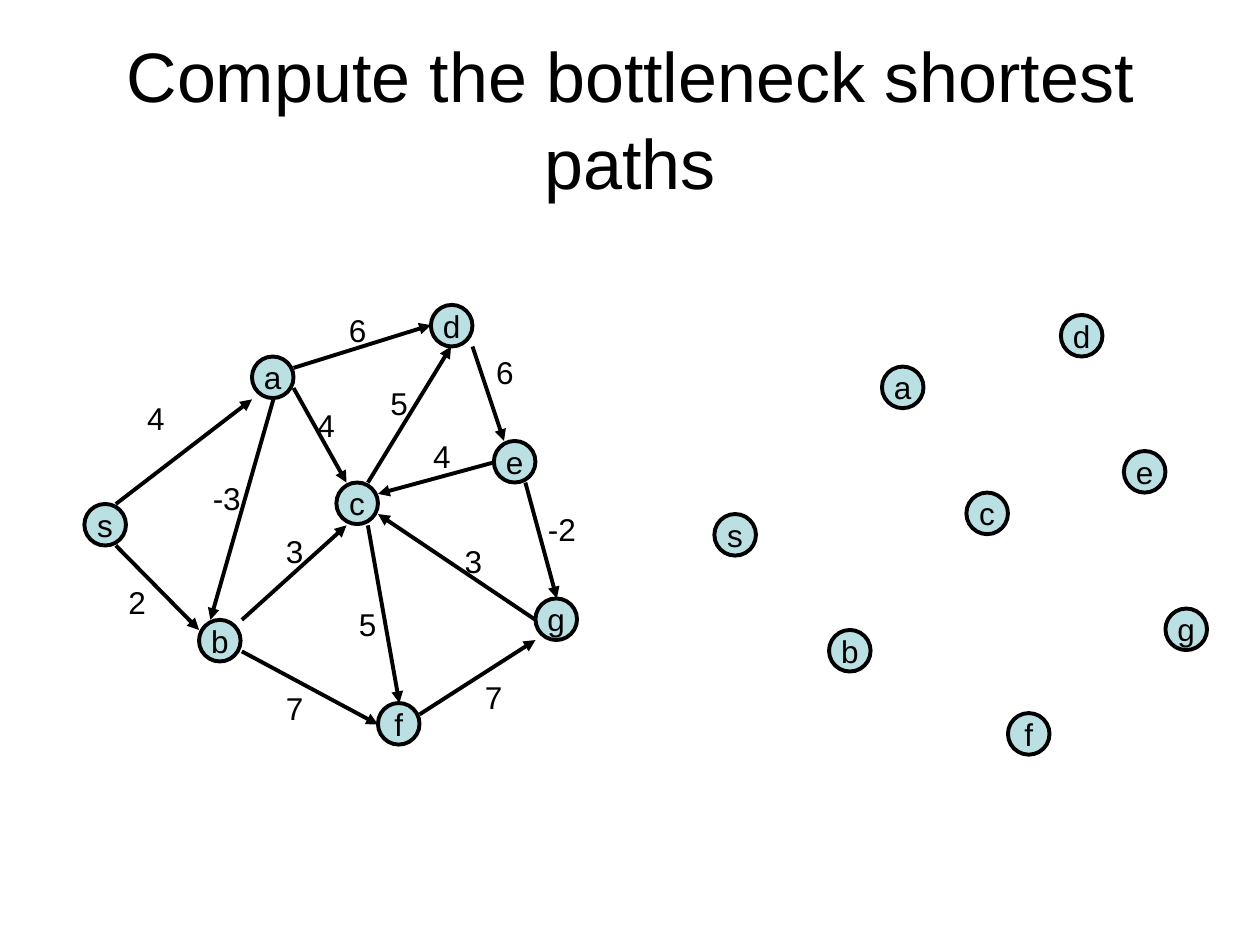
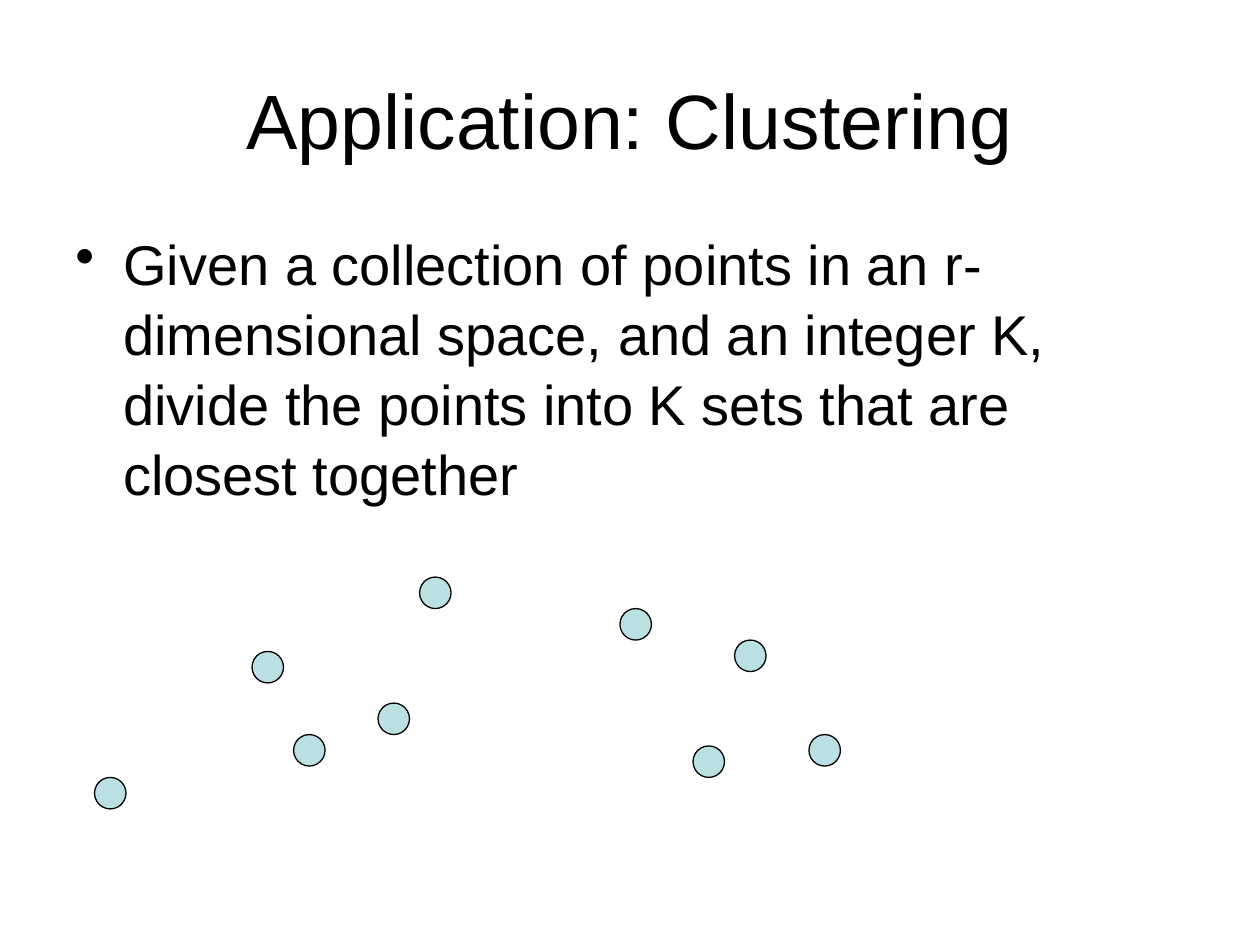
"""Builds two slides on bottleneck shortest paths and clustering."""
from lxml import etree
from pptx import Presentation
from pptx.dml.color import RGBColor
from pptx.enum.shapes import MSO_CONNECTOR, MSO_SHAPE
from pptx.enum.text import MSO_ANCHOR, MSO_AUTO_SIZE, PP_ALIGN
from pptx.oxml.ns import qn
from pptx.util import Inches, Pt

OVAL, STRAIGHT = MSO_SHAPE.OVAL, MSO_CONNECTOR.STRAIGHT
MIDDLE, CENTER, LEFT = MSO_ANCHOR.MIDDLE, PP_ALIGN.CENTER, PP_ALIGN.LEFT
FIXED, GROW = MSO_AUTO_SIZE.NONE, MSO_AUTO_SIZE.SHAPE_TO_FIT_TEXT
INK, PALE_BLUE = "000000", "BBE0E3"
NODE_SIZE, POINT_SIZE = 0.33, 0.25
LABEL_HEIGHT = 0.4
LINE_SPACING = 1.04
COPY_SHIFT = (5, 0.08)


def paint(color_format, hex_color):
    color_format.rgb = RGBColor.from_string(hex_color)


def write(shape, text, size, align, **frame_format):
    frame = shape.text_frame
    frame.text = text
    for key, value in frame_format.items():
        setattr(frame, key, value)
    paragraph = frame.paragraphs[0]
    paragraph.alignment = align
    for key, value in {"name": "Arial", "size": Pt(size)}.items():
        setattr(paragraph.font, key, value)
    paint(paragraph.font.color, INK)
    return paragraph


deck = Presentation()
deck.slide_width, deck.slide_height = Inches(10), Inches(7.5)
title_only = deck.slide_layouts[5]
slides = []
for heading, size in (("Compute the bottleneck shortest paths", 40),
                      ("Application: Clustering", 44)):
    slide = deck.slides.add_slide(title_only)
    title = slide.shapes.title
    for key, value in {"left": 0.5, "top": 0.3, "width": 9, "height": 1.25}.items():
        setattr(title, key, Inches(value))
    write(title, heading, size, CENTER, vertical_anchor=MIDDLE,
          word_wrap=True, auto_size=FIXED).line_spacing = LINE_SPACING
    slides.append(slide)
paths_slide, clustering_slide = slides

nodes = {
    "a": (2, 2.83), "b": (1.58, 4.92), "c": (2.67, 3.83), "s": (0.67, 4),
    "e": (3.92, 3.5), "g": (4.25, 4.75), "f": (3, 5.58), "d": (3.42, 2.42),
}
edges = [
    ((0.92, 4), (2, 3.17), "4", (1.07, 3.12)),
    ((2.33, 2.92), (3.42, 2.58), "6", (2.67, 2.42)),
    ((2.33, 3.08), (2.75, 3.83), "4", (2.42, 3.17)),
    ((1.92, 4.92), (2.75, 4.17), "3", (2.17, 4.17)),
    ((0.92, 4.33), (1.58, 5), "2", (0.92, 4.58)),
    ((2.17, 3.17), (1.67, 4.92), "-3", (1.59, 3.75)),
    ((1.92, 5.17), (3, 5.75), "7", (2.17, 5.42)),
    ((2.92, 4.17), (3.17, 5.58), "5", (2.75, 4.75)),
    ((2.92, 3.83), (3.58, 2.75), "5", (3, 3)),
    ((3.92, 3.67), (3, 3.92), "4", (3.34, 3.42)),
    ((3.75, 2.75), (4, 3.5), "6", (3.84, 2.75)),
    ((4.17, 3.83), (4.42, 4.75), "-2", (4.25, 4)),
    ((4.25, 4.92), (3, 4.08), "3", (3.59, 4.25)),
    ((3.33, 5.67), (4.25, 5.08), "7", (3.75, 5.33)),
]
points = [(2, 5.17), (3, 5.58), (4.92, 4.83), (5.5, 5.92), (5.83, 5.08),
          (2.33, 5.83), (0.75, 6.17), (6.42, 5.83), (3.33, 4.58)]

circles = [(paths_slide, name, x + dx, y + dy, NODE_SIZE, 2.25)
           for dx, dy in ((0, 0), COPY_SHIFT) for name, (x, y) in nodes.items()]
circles += [(clustering_slide, "", x, y, POINT_SIZE, 0.75) for x, y in points]
for slide, name, x, y, diameter, outline in circles:
    circle = slide.shapes.add_shape(
        OVAL, Inches(x), Inches(y), Inches(diameter), Inches(diameter))
    circle.shadow.inherit = False
    circle.fill.solid()
    paint(circle.fill.fore_color, PALE_BLUE)
    paint(circle.line.color, INK)
    circle.line.width = Pt(outline)
    if name:
        write(circle, name, 18, CENTER, vertical_anchor=MIDDLE, word_wrap=False)

for start, end, weight, (x, y) in edges:
    arrow = paths_slide.shapes.add_connector(
        STRAIGHT, *[Inches(value) for value in start + end])
    paint(arrow.line.color, INK)
    arrow.line.width = Pt(2.25)
    etree.SubElement(arrow.line._get_or_add_ln(), qn("a:tailEnd"), type="triangle")
    etree.SubElement(arrow._element.spPr, qn("a:effectLst"))
    label_width = 0.26 + 0.08 * len(weight)
    label = paths_slide.shapes.add_textbox(
        Inches(x), Inches(y), Inches(label_width), Inches(LABEL_HEIGHT))
    write(label, weight, 18, LEFT, word_wrap=False, auto_size=GROW)

problem = clustering_slide.shapes.add_textbox(
    Inches(0.5), Inches(1.75), Inches(9), Inches(2.5))
statement = write(
    problem, "Given a collection of points in an r-dimensional space, and an integer K, "
    "divide the points into K sets that are closest together",
    32, LEFT, word_wrap=True, auto_size=FIXED)
statement.line_spacing = LINE_SPACING
properties = statement._p.get_or_add_pPr()
for key, value in {"marL": 0.38, "indent": -0.38}.items():
    properties.set(key, str(Inches(value)))
bullet = etree.Element(qn("a:buChar"), char="•")
properties.find(qn("a:defRPr")).addprevious(bullet)

deck.save("out.pptx")
